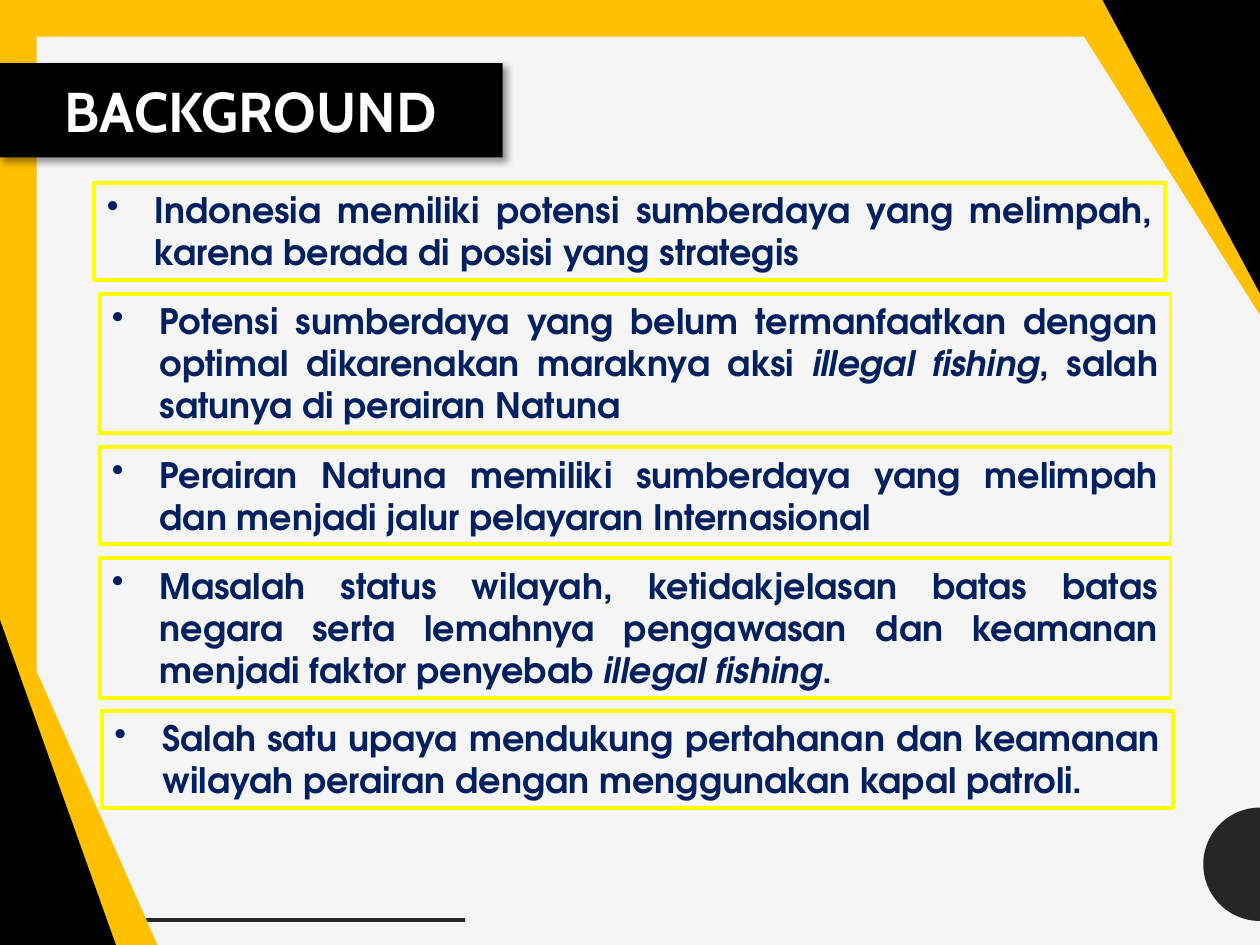
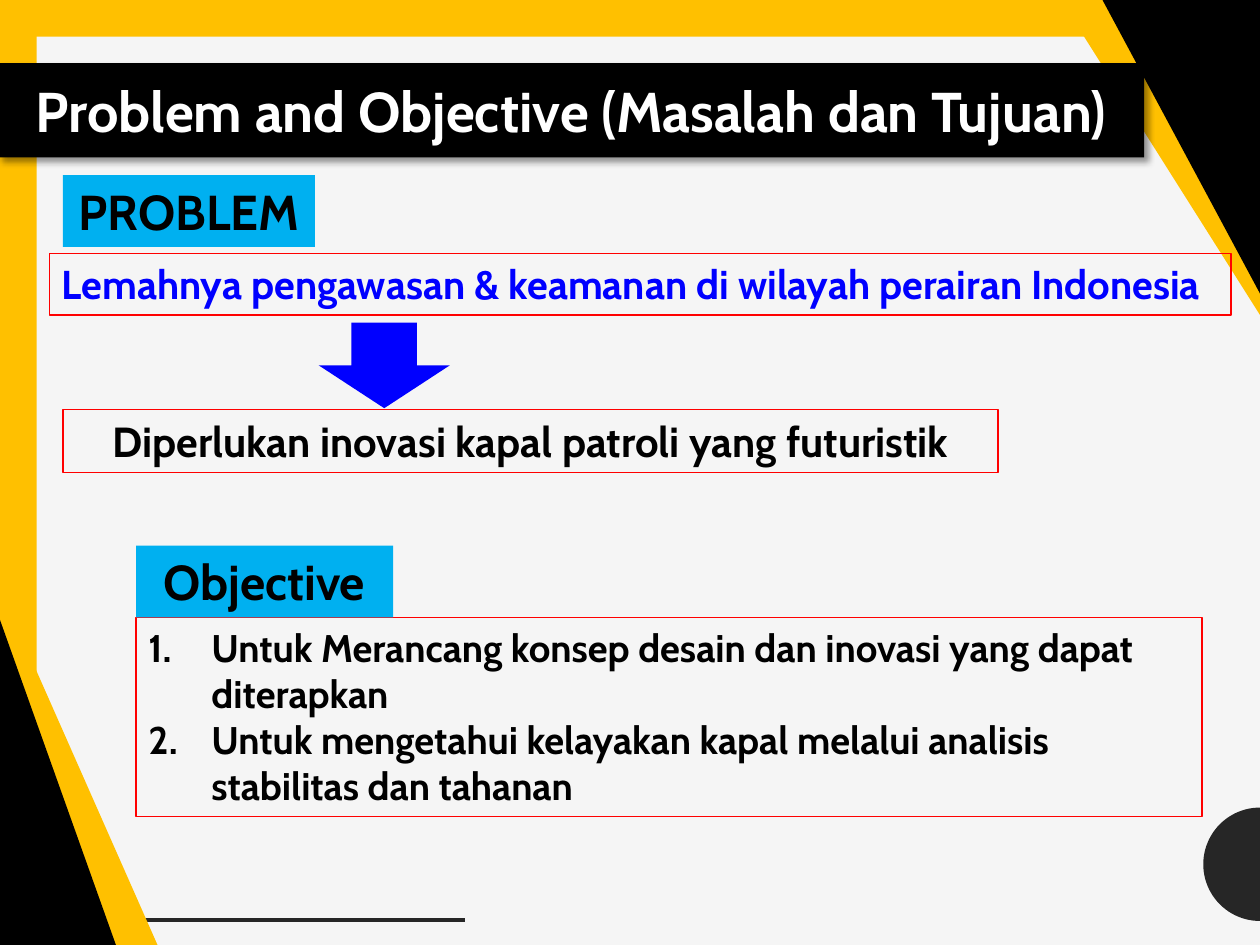
"""Build two slides on the patrol ship study: background, then problem and objective."""
import math
from dataclasses import dataclass

import lxml.etree
import pptx
import pptx.dml.color
import pptx.enum.shapes
import pptx.enum.text
import pptx.oxml
import pptx.oxml.ns
import pptx.util

Inches = pptx.util.Inches
Pt = pptx.util.Pt
SHAPE = pptx.enum.shapes.MSO_SHAPE
ALIGN = pptx.enum.text.PP_ALIGN
ANCHOR = pptx.enum.text.MSO_ANCHOR
AUTO = pptx.enum.text.MSO_AUTO_SIZE
qn = pptx.oxml.ns.qn


@dataclass(frozen=True)
class Theme:
    paper: str = "F5F5F5"
    black: str = "000000"
    white: str = "FFFFFF"
    gold: str = "FFC000"
    dark: str = "262626"
    navy: str = "002060"
    yellow: str = "FFFF00"
    red: str = "FF0000"
    blue: str = "0000FF"
    sky: str = "00B0F0"
    font: str = "Cabin"
    bullet_font: str = "TeX Gyre Adventor"
    title: int = 32
    label: int = 28
    need: int = 24
    problem: int = 23
    objective: int = 22
    bullet: int = 20


def rgb(color):
    return pptx.dml.color.RGBColor.from_string(color)


class Deck:
    def __init__(self, theme):
        self.t = theme
        self.prs = pptx.Presentation()
        self.prs.slide_width, self.prs.slide_height = Inches(10), Inches(7.5)
        fill = self.prs.slide_master.background.fill
        fill.solid()
        fill.fore_color.rgb = rgb(theme.paper)
        self.s = None

    def slide(self, title, width):
        self.s = self.prs.slides.add_slide(self.prs.slide_layouts[5])
        self.frame()
        self.title(title, width)

    def paint(self, sp, fill=None, line=None, weight=0.75):
        if fill:
            sp.fill.solid()
            sp.fill.fore_color.rgb = rgb(fill)
        else:
            sp.fill.background()
        if line:
            sp.line.color.rgb = rgb(line)
            sp.line.width = Pt(weight)
        else:
            sp.line.fill.background()

    def shape(self, at, fill=None, line=None, weight=0.75, kind=SHAPE.RECTANGLE, rotation=0):
        sp = self.s.shapes.add_shape(kind, *(Inches(v) for v in at))
        sp.shadow.inherit = False
        sp.rotation = rotation
        self.paint(sp, fill, line, weight)
        return sp

    def frame(self):
        t = self.t
        cx, cy, radius = 10, 6.86, 0.45
        arc = [(Inches(cx - radius * math.sin(a)), Inches(cy - radius * math.cos(a)))
               for a in (math.pi * i / 48 for i in range(49))]
        builder = self.s.shapes.build_freeform(*arc[0])
        builder.add_line_segments(arc[1:], close=True)
        sp = builder.convert_to_shape()
        sp.shadow.inherit = False
        self.paint(sp, t.dark)

        rule = self.s.shapes.add_connector(pptx.enum.shapes.MSO_CONNECTOR.STRAIGHT,
                                           Inches(0), Inches(7.3), Inches(3.69), Inches(7.3))
        rule.line.color.rgb = rgb(t.dark)
        rule.line.width = Pt(2)
        lxml.etree.SubElement(rule.element.spPr, qn("a:effectLst"))

        self.shape((0, 0.01, 0.29, 7.32), t.gold)
        self.shape((0, 0, 9.38, 0.29), t.gold)
        for color, (low_w, low_h), (top_w, top_h) in (
                (t.gold, (1.25, 2.83), (1.58, 2.5)),
                (t.black, (0.92, 2.58), (1.25, 2.33))):
            self.shape((0, 7.5 - low_h, low_w, low_h), color, kind=SHAPE.RIGHT_TRIANGLE)
            self.shape((10 - top_w, 0, top_w, top_h), color, kind=SHAPE.RIGHT_TRIANGLE,
                       rotation=180)

    def title(self, text, width):
        t = self.t
        sp = self.s.shapes.title
        sp.left, sp.top, sp.width, sp.height = (Inches(v) for v in (-0.01, 0.5, width, 0.75))
        self.paint(sp, t.black)
        sp.element.spPr.append(pptx.oxml.parse_xml(
            f'<a:effectLst {pptx.oxml.ns.nsdecls("a")}>'
            f'<a:outerShdw blurRad="{Pt(4)}" dist="{Pt(3)}" dir="2700000" algn="tl" rotWithShape="0">'
            f'<a:srgbClr val="{t.black}"><a:alpha val="40000"/></a:srgbClr>'
            '</a:outerShdw></a:effectLst>'))
        tf = sp.text_frame
        tf.word_wrap = True
        tf.auto_size = AUTO.NONE
        tf.vertical_anchor = ANCHOR.MIDDLE
        p = tf.paragraphs[0]
        p.alignment = ALIGN.CENTER
        self.run(p, text, t.title, t.white, t.font)
        sp.element.getparent().append(sp.element)

    def run(self, p, text, size, color, font, italic=False):
        r = p.add_run()
        r.text = text
        r.font.size = Pt(size)
        r.font.name = font
        r.font.bold = True
        r.font.italic = italic
        r.font.color.rgb = rgb(color)

    def box(self, at, paragraphs, size, color, font=None, align=ALIGN.LEFT,
            indent=0, marker=None, **style):
        sp = self.shape(at, **style)
        tf = sp.text_frame
        tf.word_wrap = True
        tf.auto_size = AUTO.SHAPE_TO_FIT_TEXT
        tf.vertical_anchor = ANCHOR.TOP
        for i, runs in enumerate(paragraphs):
            p = tf.add_paragraph() if i else tf.paragraphs[0]
            p.alignment = align
            if marker:
                tag, attribute, value = marker
                pPr = p._p.get_or_add_pPr()
                pPr.set("marL", str(Inches(indent)))
                pPr.set("indent", str(-Inches(indent)))
                lxml.etree.SubElement(pPr, qn(tag)).set(attribute, value)
            for j, text in enumerate(runs):
                self.run(p, text, size, color, font or self.t.font, italic=j % 2 == 1)

    def bullet(self, at, runs):
        t = self.t
        self.box(at, [runs], t.bullet, t.navy, t.bullet_font, ALIGN.JUSTIFY, 0.38,
                 ("a:buChar", "char", "•"), line=t.yellow, weight=2.25)

    def label(self, at, text):
        t = self.t
        self.box(at, [[text]], t.label, t.black, align=ALIGN.CENTER, fill=t.sky)


def background(deck):
    deck.slide("BACKGROUND", 4)
    two_lines, three_lines = 0.77, 1.11
    points = (
        (0.75, 1.45, two_lines, [
            "Indonesia memiliki potensi sumberdaya yang melimpah, karena berada di posisi "
            "yang strategis"]),
        (0.79, 2.33, three_lines, [
            "Potensi sumberdaya yang belum termanfaatkan dengan optimal dikarenakan "
            "maraknya aksi ", "illegal fishing", ", salah satunya di perairan Natuna"]),
        (0.79, 3.55, two_lines, [
            "Perairan Natuna memiliki sumberdaya yang melimpah dan menjadi jalur pelayaran "
            "Internasional"]),
        (0.79, 4.43, three_lines, [
            "Masalah status wilayah, ketidakjelasan batas batas negara serta lemahnya "
            "pengawasan dan keamanan menjadi faktor penyebab ", "illegal fishing", "."]),
        (0.81, 5.64, two_lines, [
            "Salah satu upaya mendukung pertahanan dan keamanan wilayah perairan dengan "
            "menggunakan kapal patroli."]),
    )
    for left, top, height, runs in points:
        deck.bullet((left, top, 8.5, height), runs)


def problem_and_objective(deck):
    t = deck.t
    deck.slide("Problem and Objective (Masalah dan Tujuan)", 9.09)
    deck.box((1.08, 4.9, 8.46, 1.58), [
        ["Untuk Merancang konsep desain dan inovasi yang dapat diterapkan"],
        ["Untuk mengetahui kelayakan kapal melalui analisis stabilitas dan tahanan"],
    ], t.objective, t.black, indent=0.5, marker=("a:buAutoNum", "type", "arabicPeriod"),
        line=t.red)
    deck.box((0.39, 2.01, 9.38, 0.49),
             [["Lemahnya pengawasan & keamanan di wilayah perairan Indonesia"]],
             t.problem, t.blue, line=t.red)
    deck.label((1.08, 4.33, 2.04, 0.57), "Objective")
    deck.label((0.5, 1.39, 2, 0.57), "PROBLEM")
    deck.shape((2.53, 2.56, 1.04, 0.68), t.blue, kind=SHAPE.DOWN_ARROW)
    deck.box((0.5, 3.25, 7.42, 0.5), [["Diperlukan inovasi kapal patroli yang futuristik"]],
             t.need, t.black, align=ALIGN.CENTER, line=t.red)


def main():
    deck = Deck(Theme())
    background(deck)
    problem_and_objective(deck)
    deck.prs.save("out.pptx")


if __name__ == "__main__":
    main()
